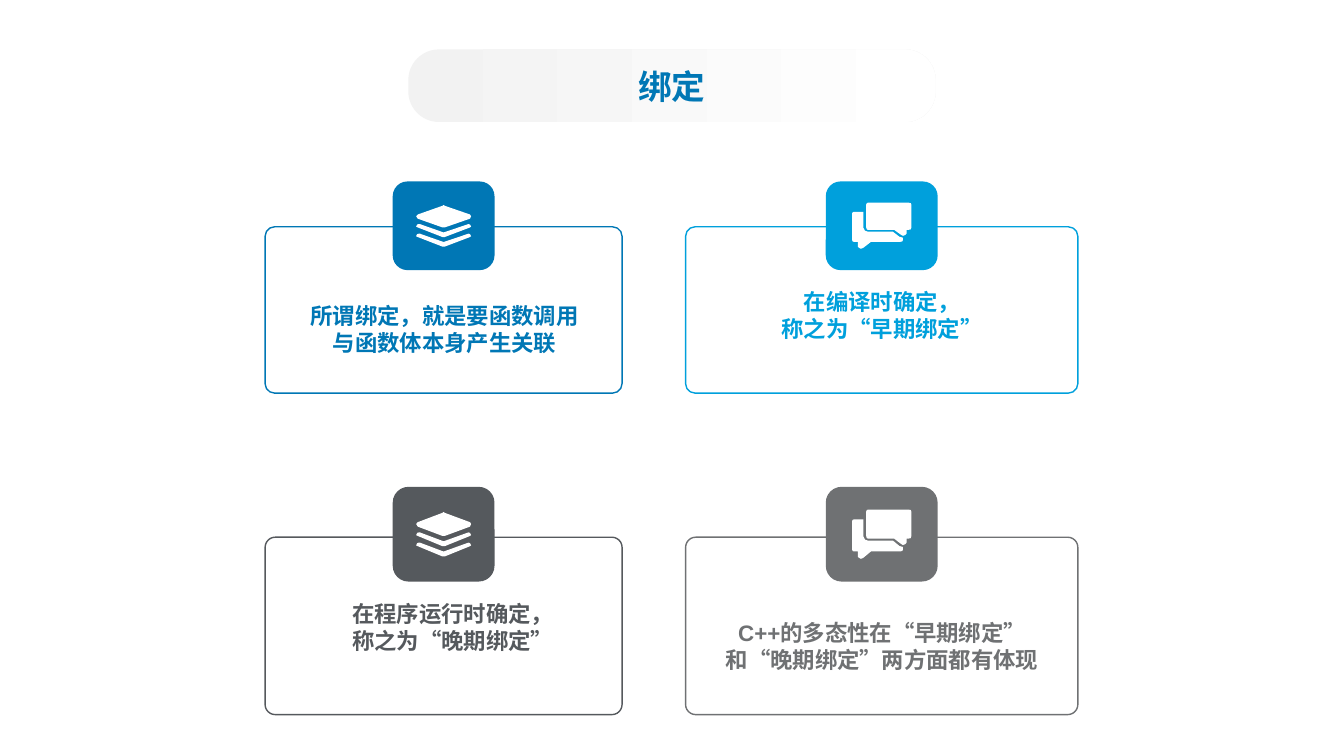
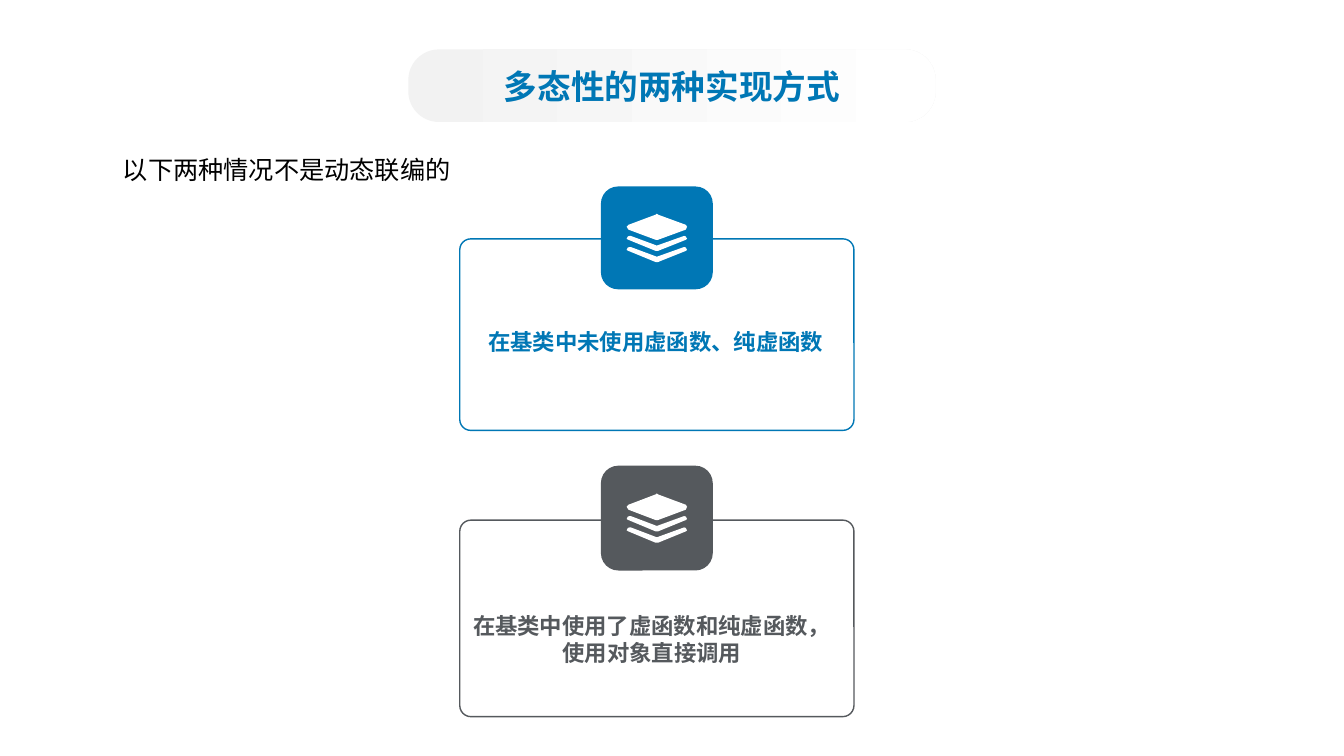
"""Build two slides of icon cards about binding and polymorphism."""
from pptx import Presentation
from pptx.dml.color import RGBColor
from pptx.enum.shapes import MSO_SHAPE
from pptx.enum.text import MSO_ANCHOR, PP_ALIGN
from pptx.oxml.ns import qn
from pptx.util import Inches, Pt

CJK = "Noto Sans CJK SC"
BLUE, SKY, SLATE, GRAY = "0077B5", "00A0DC", "55595D", "6F7173"

STRIP = [(5, 46), (7, 46), (50, 66), (95, 46), (98, 47), (100, 52), (98, 54),
         (52, 77), (48, 77), (3, 54), (0, 52), (2, 47)]
LAYERS = [
    [(0, 27), (3, 23), (48, 2), (50, 0), (52, 2), (98, 23), (100, 27),
     (98, 33), (52, 54), (48, 54), (3, 33)],
    STRIP,
    [(x, y + 23) for x, y in STRIP],
]
CHAT = [
    [(27, 0), (95, 0), (99, 1), (100, 4), (100, 54), (99, 58), (95, 59), (92, 59),
     (92, 67), (90, 70), (86, 72), (83, 70), (71, 59), (27, 59), (25, 58), (24, 54),
     (24, 4), (25, 1)],
    [(69, 63), (80, 74), (86, 76), (86, 80), (85, 84), (81, 85), (32, 85), (19, 98),
     (15, 100), (12, 98), (10, 96), (10, 85), (3, 85), (1, 84), (0, 80), (0, 24),
     (1, 21), (3, 20), (19, 20), (19, 54), (22, 61), (27, 63)],
]
ICONS = {"layers": (LAYERS, 0.54, 0.47), "chat": (CHAT, 0.53, 0.52)}

SLIDES = [
    ("绑定", "", [
        (2.63, 2.25, 3.54, 1.65, 1.8, 1.01, 0.88, "layers", BLUE,
         (2.8, 3, 3.22, 0.74), ["所谓绑定，就是要函数调用", "与函数体本身产生关联"]),
        (6.8, 2.25, 3.89, 1.65, 1.8, 1.11, 0.88, "chat", SKY,
         (6.98, 2.86, 3.54, 0.88), ["在编译时确定，", "称之为“早期绑定”"]),
        (2.63, 5.33, 3.54, 1.76, 4.83, 1.01, 0.94, "layers", SLATE,
         (2.8, 5.95, 3.38, 1.02), ["在程序运行时确定，", "称之为“晚期绑定”"]),
        (6.8, 5.33, 3.89, 1.76, 4.83, 1.11, 0.94, "chat", GRAY,
         (6.98, 6.14, 3.54, 0.86), ["C++的多态性在“早期绑定”", "和“晚期绑定”两方面都有体现"]),
    ]),
    ("多态性的两种实现方式", "以下两种情况不是动态联编的", [
        (4.56, 2.37, 3.91, 1.9, 1.85, 1.11, 1.02, "layers", BLUE,
         (4.73, 3.25, 3.55, 0.86), ["在基类中未使用虚函数、纯虚函数"]),
        (4.56, 5.16, 3.91, 1.95, 4.62, 1.11, 1.04, "layers", SLATE,
         (4.56, 6.07, 3.81, 1.04), ["在基类中使用了虚函数和纯虚函数，", "使用对象直接调用"]),
    ]),
]


def paint(item, color):
    """Give a fill or a font one solid colour."""
    if hasattr(item, "solid"):
        item.solid()
        item.fore_color.rgb = RGBColor.from_string(color)
    else:
        item.color.rgb = RGBColor.from_string(color)


def write(tf, lines, size, color, font=CJK, bold=True, align=PP_ALIGN.CENTER):
    """Fill a text frame with one paragraph per line."""
    tf.text = "\n".join(lines)
    for p in tf.paragraphs:
        p.alignment = align
        r = p.runs[0]
        r.font.size, r.font.bold, r.font.name = Pt(size), bold, font
        paint(r.font, color)
        ea = r.font._element.makeelement(qn("a:ea"), {"typeface": CJK})
        r.font._element.find(qn("a:latin")).addnext(ea)


prs = Presentation()
prs.slide_width, prs.slide_height = Inches(13.33), Inches(7.5)

for title, intro, cards in SLIDES:
    s = prs.slides.add_slide(prs.slide_layouts[6])

    for x, y, w, h, tile_y, tile_w, tile_h, icon, color, text_at, lines in cards:
        card = s.shapes.add_shape(MSO_SHAPE.ROUNDED_RECTANGLE,
                                  Inches(x), Inches(y), Inches(w), Inches(h))
        card.shadow.inherit = False
        card.adjustments[0] = 0.057
        card.fill.background()
        paint(card.line.fill, color)
        card.line.width = Pt(1)

        center_x, center_y = x + w / 2, tile_y + tile_h / 2
        tile = s.shapes.add_shape(MSO_SHAPE.ROUNDED_RECTANGLE, Inches(center_x - tile_w / 2),
                                  Inches(tile_y), Inches(tile_w), Inches(tile_h))
        tile.shadow.inherit = False
        paint(tile.fill, color)
        tile.line.fill.background()

        outlines, share_w, share_h = ICONS[icon]
        icon_w, icon_h = tile_w * share_w, tile_h * share_h
        fb = s.shapes.build_freeform(*outlines[0][0],
                                     scale=(Inches(icon_w) / 100, Inches(icon_h) / 100))
        fb.add_line_segments(outlines[0][1:])
        for outline in outlines[1:]:
            fb.move_to(*outline[0])
            fb.add_line_segments(outline[1:])
        sp = fb.convert_to_shape(Inches(center_x - icon_w / 2), Inches(center_y - icon_h / 2))
        sp.shadow.inherit = False
        paint(sp.fill, "FFFFFF")
        sp.line.fill.background()

        tf = s.shapes.add_textbox(*map(Inches, text_at)).text_frame
        tf.margin_left = tf.margin_right = tf.margin_top = tf.margin_bottom = 0
        tf.word_wrap = False
        write(tf, lines, 16, color, "Arial")
        for p in tf.paragraphs:
            p.line_spacing = Pt(19.3)

    band = s.shapes.add_shape(MSO_SHAPE.ROUNDED_RECTANGLE,
                              Inches(4.05), Inches(0.49), Inches(5.23), Inches(0.72))
    band.shadow.inherit = False
    band.adjustments[0] = 0.423
    band.fill.gradient()
    band.fill.gradient_angle = 0
    for stop, position, color in zip(band.fill.gradient_stops, (0, 0.99), ("F2F2F2", "FFFFFF")):
        stop.position = position
        paint(stop, color)
    band.line.fill.background()
    band.text_frame.vertical_anchor = MSO_ANCHOR.MIDDLE
    write(band.text_frame, [title], 24, BLUE)

    if intro:
        tf = s.shapes.add_textbox(Inches(1.12), Inches(1.48), Inches(6.67), Inches(0.4)).text_frame
        tf.word_wrap = True
        write(tf, [intro], 18, "000000", bold=False, align=PP_ALIGN.LEFT)

prs.save("out.pptx")
